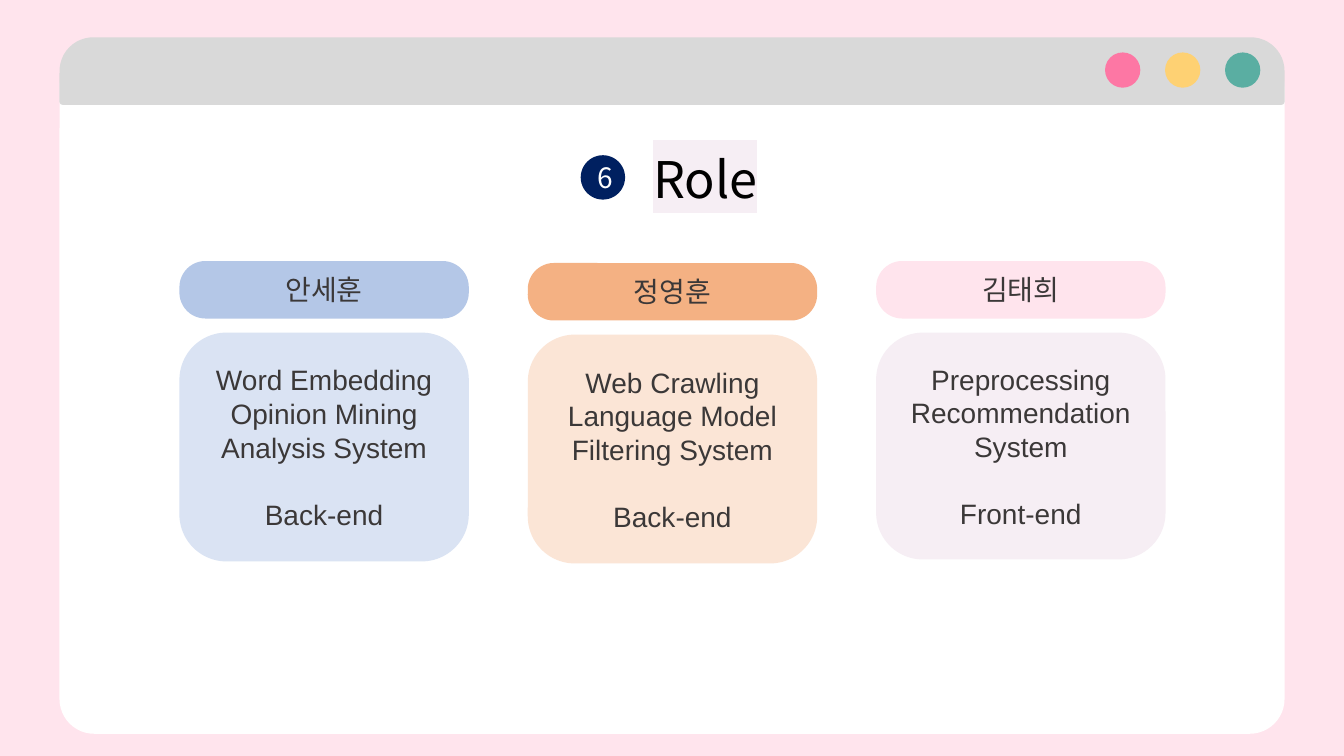
from pptx import Presentation
from pptx.dml.color import RGBColor
from pptx.enum.shapes import MSO_SHAPE
from pptx.enum.text import MSO_ANCHOR, PP_ALIGN
from pptx.oxml.ns import qn
from pptx.util import Inches, Pt
from lxml.etree import SubElement

PINK = RGBColor(0xFF, 0xE4, 0xED)
WHITE = RGBColor(0xFF, 0xFF, 0xFF)
BLACK = RGBColor(0x00, 0x00, 0x00)
GREY = RGBColor(0xD9, 0xD9, 0xD9)
ROSE = RGBColor(0xFD, 0x77, 0xA4)
YELLOW = RGBColor(0xFE, 0xD1, 0x73)
GREEN = RGBColor(0x5A, 0xAE, 0xA2)
NAVY = RGBColor(0x00, 0x20, 0x60)
INK = RGBColor(0x3B, 0x38, 0x38)
BLUE = RGBColor(0xB4, 0xC7, 0xE7)
SKY = RGBColor(0xDA, 0xE3, 0xF3)
ORANGE = RGBColor(0xF4, 0xB1, 0x83)
PEACH = RGBColor(0xFB, 0xE5, 0xD6)
LILAC = RGBColor(0xF6, 0xEE, 0xF4)
NOTO = "Noto Sans CJK KR"

ROLES = [
    ("안세훈", ["Word Embedding", "Opinion Mining", "Analysis System"],
     "Back-end", BLUE, SKY, 0, 2.27),
    ("정영훈", ["Web Crawling", "Language Model", "Filtering System"],
     "Back-end", ORANGE, PEACH, 0.02, 2.27),
    ("김태희", ["Preprocessing", "Recommendation System"],
     "Front-end", PINK, LILAC, 0, 2.25),
]


def add_shape(slide, kind, box, fill, *adjust):
    shape = slide.shapes.add_shape(kind, *map(Inches, box))
    shape.shadow.inherit = False
    shape.fill.solid()
    shape.fill.fore_color.rgb = fill
    shape.line.fill.background()
    for index, value in enumerate(adjust):
        shape.adjustments[index] = value
    return shape


def write(shape, *lines, size=20, font="Arial", color=INK, wrap=True,
          mark=None, gap=0):
    frame = shape.text_frame
    frame.word_wrap = wrap
    frame.vertical_anchor = MSO_ANCHOR.MIDDLE
    for index, line in enumerate(lines):
        para = frame.paragraphs[0] if index == 0 else frame.add_paragraph()
        para.alignment = PP_ALIGN.CENTER
        run = para.add_run()
        run.text = line
        run.font.size = Pt(size)
        run.font.color.rgb = color
        props = run.font._element
        if mark is not None:
            light = SubElement(props, qn("a:highlight"))
            SubElement(light, qn("a:srgbClr")).set("val", str(mark))
        run.font.name = font
        SubElement(props, qn("a:ea")).set("typeface", NOTO)
    if gap:
        para.space_before = Pt(gap)


def add_window(slide, left, top, width, height):
    add_shape(slide, MSO_SHAPE.ROUNDED_RECTANGLE,
              (left, top + 0.15, width, height - 0.15), WHITE, 0.051)
    add_shape(slide, MSO_SHAPE.ROUND_2_SAME_RECTANGLE,
              (left, top, width, 0.67), GREY, 0.5, 0.045)
    for index, color in enumerate((ROSE, YELLOW, GREEN)):
        spot = left + width - 1.78 + index * 0.595
        add_shape(slide, MSO_SHAPE.OVAL, (spot, top + 0.15, 0.35, 0.35), color)


def add_title(slide, left, top, number, title):
    badge = add_shape(slide, MSO_SHAPE.OVAL,
                      (left, top + 0.13, 0.44, 0.44), NAVY)
    write(badge, number, font=NOTO, color=WHITE)
    label = slide.shapes.add_textbox(
        *map(Inches, (left + 0.6, top, 1.27, 0.71)))
    write(label, title, size=36, font=NOTO, color=BLACK, wrap=False, mark=LILAC)


def add_role(slide, left, top, width, height, role):
    name, tasks, side, dark, pale = role
    head = add_shape(slide, MSO_SHAPE.ROUNDED_RECTANGLE,
                     (left, top, width, 0.57), dark, 0.453)
    write(head, name)
    card = add_shape(slide, MSO_SHAPE.ROUNDED_RECTANGLE,
                     (left, top + 0.71, width, height), pale, 0.206)
    write(card, *tasks, side, gap=24)


def main():
    deck = Presentation()
    deck.slide_width = Inches(13.33)
    deck.slide_height = Inches(7.5)
    slide = deck.slides.add_slide(deck.slide_layouts[6])
    slide.background.fill.solid()
    slide.background.fill.fore_color.rgb = PINK
    add_window(slide, 0.59, 0.37, 12.15, 6.91)
    add_title(slide, 5.76, 1.41, "6", "Role")
    for index, (*role, drop, height) in enumerate(ROLES):
        add_role(slide, 1.78 + index * 3.455, 2.59 + drop, 2.87, height, role)
    deck.save("out.pptx")


if __name__ == "__main__":
    main()
